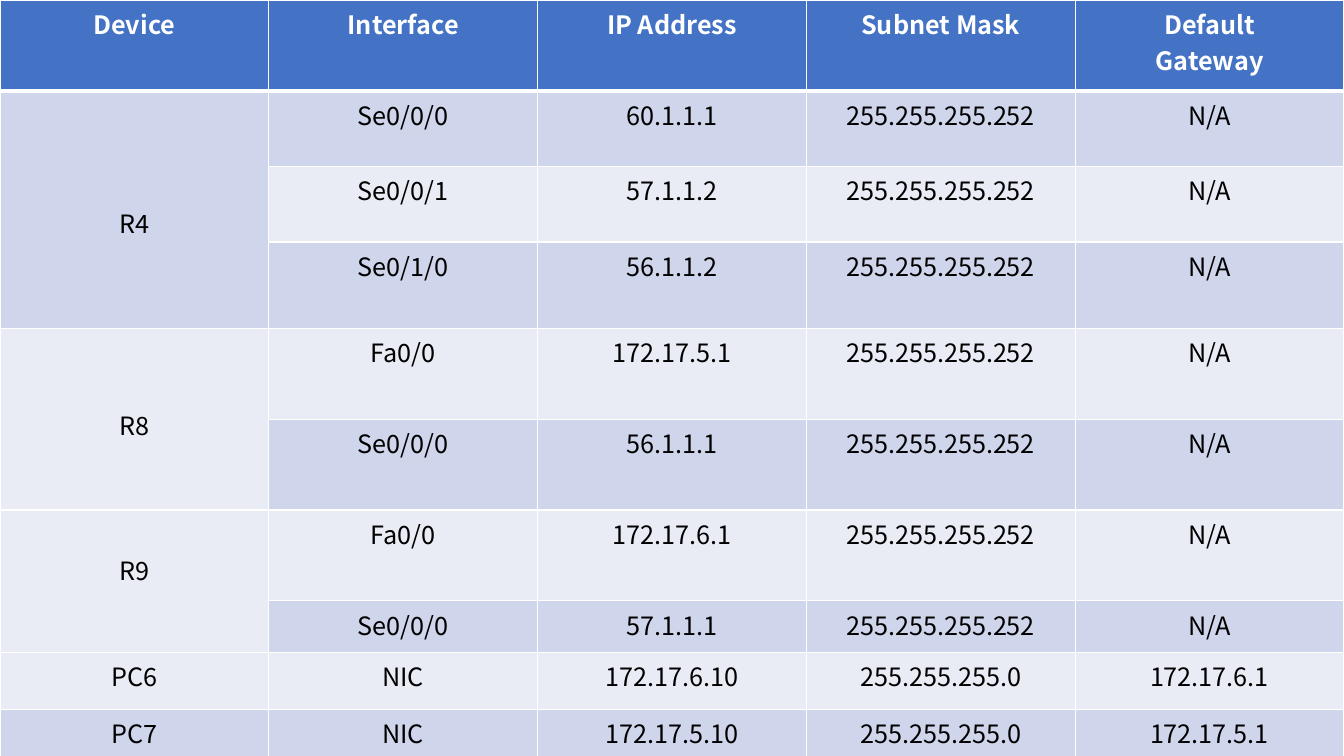
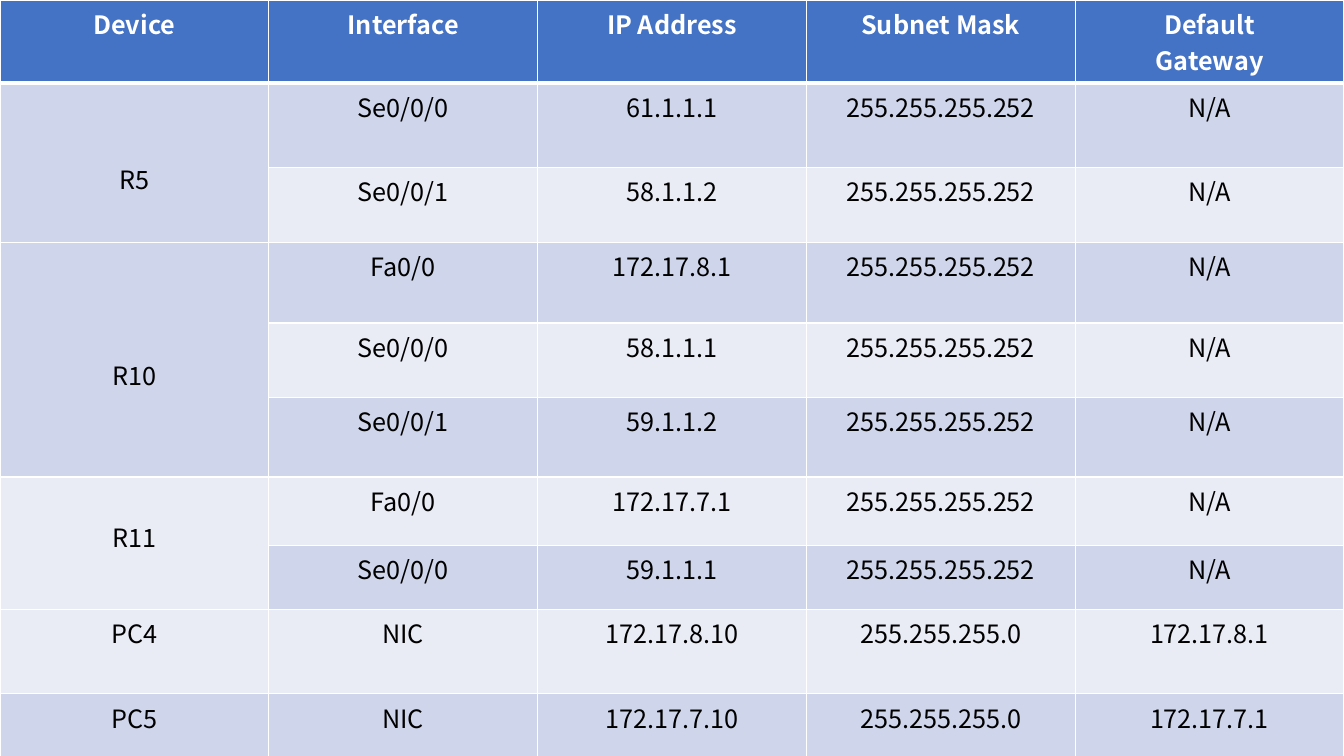
from lxml.etree import SubElement
from pptx import Presentation
from pptx.dml.color import RGBColor
from pptx.enum.text import PP_ALIGN
from pptx.oxml.ns import qn
from pptx.util import Inches, Pt

COLORS = {"header": "4472C4", "odd": "CFD5EA", "even": "E9EBF5",
          "white": "FFFFFF", "black": "000000"}
FONT = "Noto Sans CJK KR"
SIZE = Pt(18)
SLIDE_W, SLIDE_H = 13.33, 7.5
MARGIN, LINE = 0.05, 0.36  # cell margin and height of one text line, inches

HEADERS = ["Device", "Interface", "IP Address", "Subnet Mask", "Default\nGateway"]
LINK_MASK, LAN_MASK, NO_GATEWAY = "255.255.255.252", "255.255.255.0", "N/A"


def router(name, lines_down, *ports):
    rows = [(port, ip, LINK_MASK, NO_GATEWAY) for port, ip in ports]
    return name, lines_down, rows


def pc(name, ip, gateway):
    return name, 0, [("NIC", ip, LAN_MASK, gateway)]


SLIDES = [
    {"heights": [0.9, 0.75, 0.75, 0.86, 0.9, 0.9, 0.9, 0.51, 0.57, 0.47],
     "devices": [
         router("R4", 3, ("Se0/0/0", "60.1.1.1"), ("Se0/0/1", "57.1.1.2"),
                ("Se0/1/0", "56.1.1.2")),
         router("R8", 2, ("Fa0/0", "172.17.5.1"), ("Se0/0/0", "56.1.1.1")),
         router("R9", 1, ("Fa0/0", "172.17.6.1"), ("Se0/0/0", "57.1.1.1")),
         pc("PC6", "172.17.6.10", "172.17.6.1"),
         pc("PC7", "172.17.5.10", "172.17.5.1")]},
    {"heights": [0.75, 0.84, 0.74, 0.8, 0.74, 0.79, 0.68, 0.63, 0.84, 0.68],
     "devices": [
         router("R5", 2, ("Se0/0/0", "61.1.1.1"), ("Se0/0/1", "58.1.1.2")),
         router("R10", 3, ("Fa0/0", "172.17.8.1"), ("Se0/0/0", "58.1.1.1"),
                ("Se0/0/1", "59.1.1.2")),
         router("R11", 1, ("Fa0/0", "172.17.7.1"), ("Se0/0/0", "59.1.1.1")),
         pc("PC4", "172.17.8.10", "172.17.8.1"),
         pc("PC5", "172.17.7.10", "172.17.7.1")]},
]


def style_cell(cell, row):
    """Give a cell its white borders, thick under the header, and its band fill."""
    tcPr = cell._tc.get_or_add_tcPr()
    for side in "LRTB":
        thick = (row, side) in ((0, "B"), (1, "T"))
        ln = SubElement(tcPr, qn(f"a:ln{side}"), w=str(Pt(3 if thick else 1)))
        SubElement(SubElement(ln, qn("a:solidFill")), qn("a:srgbClr"),
                   val=COLORS["white"])
    band = "header" if row == 0 else "odd" if row % 2 else "even"
    cell.fill.solid()
    cell.fill.fore_color.rgb = RGBColor.from_string(COLORS[band])


def write_cell(cell, text, header=False, lines_down=0):
    cell.margin_top = Inches(MARGIN + lines_down * LINE)
    tf = cell.text_frame
    for i, line in enumerate(text.split("\n")):
        p = tf.add_paragraph() if i else tf.paragraphs[0]
        p.alignment = PP_ALIGN.CENTER
        r = p.add_run()
        r.text = line
        r.font.name, r.font.size, r.font.bold = FONT, SIZE, header
        r.font.color.rgb = RGBColor.from_string(COLORS["white" if header else "black"])


def add_address_table(s, heights, devices):
    table = s.shapes.add_table(len(heights), len(HEADERS), 0, 0,
                               Inches(SLIDE_W), Inches(SLIDE_H)).table
    for row, height in enumerate(heights):
        table.rows[row].height = Inches(height)
        for cell in table.rows[row].cells:
            style_cell(cell, row)

    for col, text in enumerate(HEADERS):
        write_cell(table.cell(0, col), text, header=True)

    row = 1
    for name, lines_down, ports in devices:
        device = table.cell(row, 0)
        if len(ports) > 1:
            device.merge(table.cell(row + len(ports) - 1, 0))
        write_cell(device, name, lines_down=lines_down)
        for port in ports:
            for col, text in enumerate(port, start=1):
                write_cell(table.cell(row, col), text)
            row += 1


def main():
    prs = Presentation()
    prs.slide_width, prs.slide_height = Inches(SLIDE_W), Inches(SLIDE_H)
    for content in SLIDES:
        s = prs.slides.add_slide(prs.slide_layouts[6])
        add_address_table(s, **content)
    prs.save("out.pptx")


if __name__ == "__main__":
    main()
